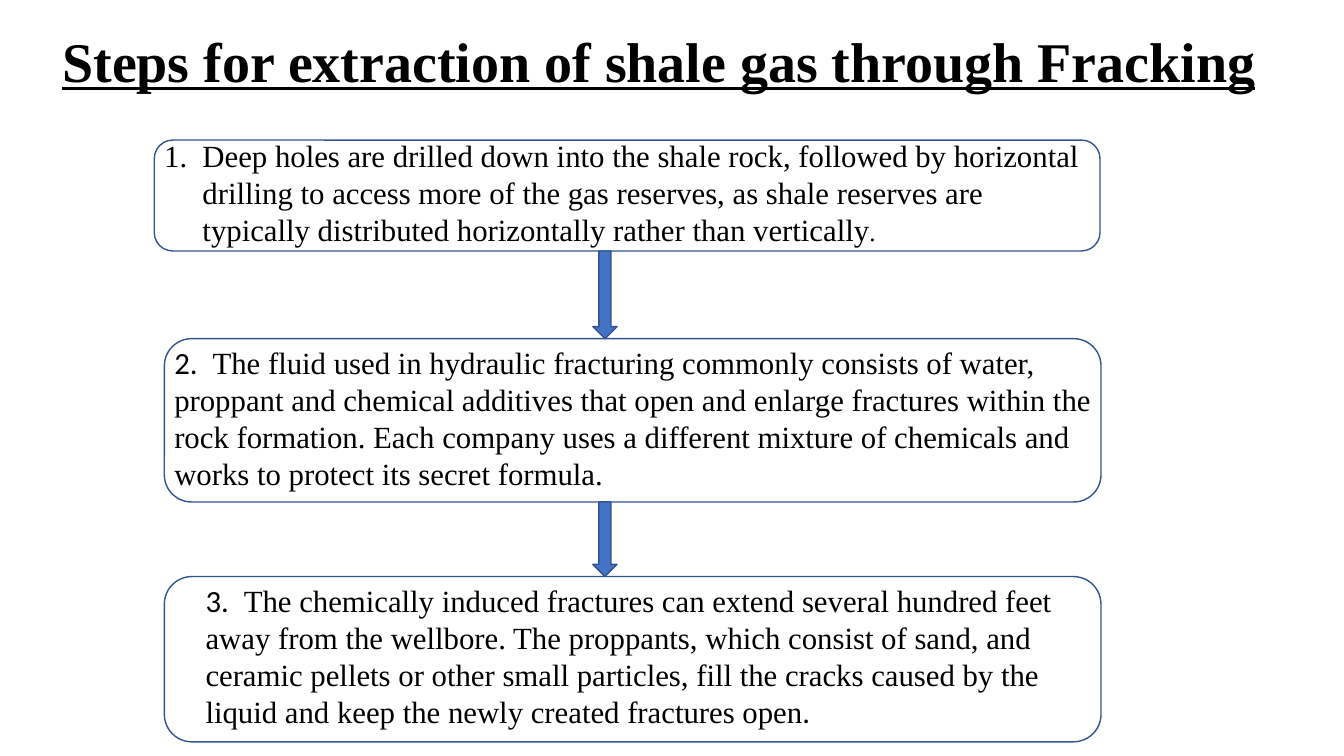
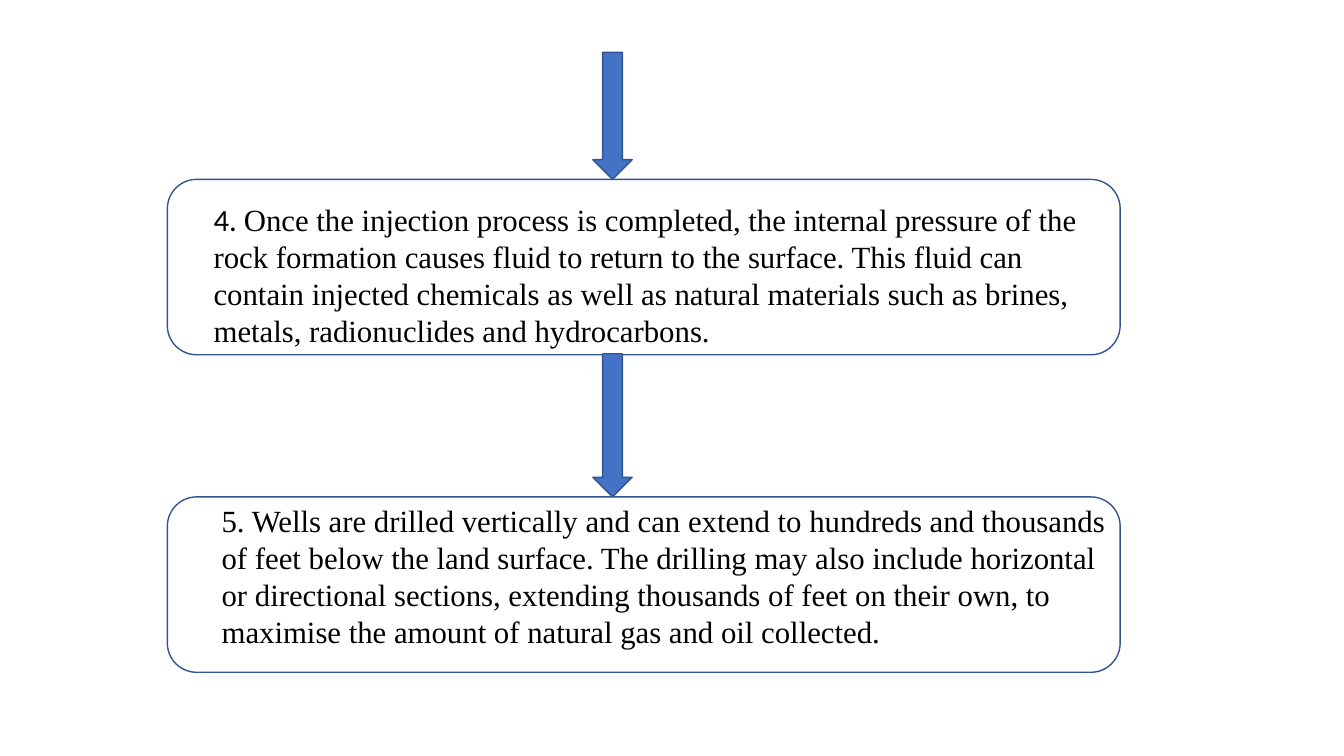
from dataclasses import dataclass

from lxml.etree import SubElement
from pptx import Presentation
from pptx.dml.color import RGBColor
from pptx.enum.shapes import MSO_SHAPE
from pptx.enum.text import MSO_ANCHOR, MSO_AUTO_SIZE, PP_ALIGN
from pptx.oxml.ns import qn
from pptx.util import Pt

PX = 9144  # 100 px to the inch


@dataclass(frozen=True)
class Theme:
    ink: RGBColor = RGBColor(0x00, 0x00, 0x00)
    arrow: RGBColor = RGBColor(0x44, 0x72, 0xC4)
    outline: RGBColor = RGBColor(0x32, 0x54, 0x91)
    serif: str = "Times New Roman"
    sans: str = "Calibri"
    title_size: int = 40
    body_size: int = 22
    small_size: int = 18
    number_indent: int = 38


theme = Theme()


def add_outlined(page, kind, bounds, fill=None):
    shape = page.shapes.add_shape(kind, *[value * PX for value in bounds])
    shape.shadow.inherit = False
    shape.line.color.rgb = theme.outline
    shape.line.width = Pt(1)
    if fill is None:
        shape.fill.background()
    else:
        shape.fill.solid()
        shape.fill.fore_color.rgb = fill


def add_step_text(page, bounds, spans, numbered):
    box = page.shapes.add_textbox(*[value * PX for value in bounds])
    frame = box.text_frame
    frame.word_wrap = True
    frame.auto_size = MSO_AUTO_SIZE.SHAPE_TO_FIT_TEXT
    para = frame.paragraphs[0]
    properties = para._p.get_or_add_pPr()
    indent = theme.number_indent * PX
    if numbered:
        properties.set("marL", str(indent))
        properties.set("indent", str(-indent))
        SubElement(properties, qn("a:buFont"), typeface="+mj-lt")
        SubElement(properties, qn("a:buAutoNum"), type="arabicPeriod")
    else:
        tabs = SubElement(properties, qn("a:tabLst"))
        SubElement(tabs, qn("a:tab"), pos=str(indent), algn="l")
    para.font.color.rgb = theme.ink
    for text, font_name, size in spans:
        span = para.add_run()
        span.text = text
        span.font.name = font_name
        span.font.size = Pt(size)


serif = (theme.serif, theme.body_size)
sans = (theme.sans, theme.body_size)

# Each page: title, boxes, arrows, and step texts (bounds, spans, numbered)
pages = [
    {
        "title": "Steps for extraction of shale gas through Fracking",
        "boxes": [(153, 139, 938, 110), (163, 336, 929, 162), (163, 572, 929, 164)],
        "arrows": [(588, 249, 24, 87), (588, 498, 24, 74)],
        "steps": [
            ((153, 131, 938, 121), [
                ("Deep holes are drilled down into the shale rock, followed by horizontal "
                 "drilling to access more of the gas reserves, as shale reserves are "
                 "typically distributed horizontally rather than vertically", *serif),
                (".", theme.serif, theme.small_size),
            ], True),
            ((163, 336, 942, 158), [
                ("2.\t", *sans),
                ("The fluid used in hydraulic fracturing commonly consists of water, "
                 "proppant and chemical additives that open and enlarge fractures within "
                 "the rock formation. Each company uses a different mixture of chemicals "
                 "and works to protect its secret formula.", *serif),
            ], False),
            ((194, 572, 864, 158), [
                ("3.\t", *sans),
                ("The chemically induced fractures can extend several hundred feet away "
                 "from the wellbore. The proppants, which consist of sand, and ceramic "
                 "pellets or other small particles, fill the cracks caused by the liquid "
                 "and keep the newly created fractures open", *serif),
                (".", *sans),
            ], False),
        ],
    },
    {
        "title": None,
        "boxes": [(166, 178, 945, 174), (166, 493, 945, 174)],
        "arrows": [(588, 52, 39, 126), (588, 351, 39, 142)],
        "steps": [
            ((202, 194, 882, 158), [
                ("4. ", *sans),
                ("Once the injection process is completed, the internal pressure of the "
                 "rock formation causes fluid to return to the surface. This fluid can "
                 "contain injected chemicals as well as natural materials such as brines, "
                 "metals, radionuclides and hydrocarbons.", *serif),
            ], False),
            ((210, 493, 900, 158), [
                ("5. Wells are drilled vertically and can extend to hundreds and thousands "
                 "of feet below the land surface. The drilling may also include horizontal "
                 "or directional sections, extending thousands of feet on their own, to "
                 "maximise the amount of natural gas and oil collected.", *serif),
            ], False),
        ],
    },
]

deck = Presentation()
deck.slide_width = 1333 * PX
deck.slide_height = 750 * PX
title_only, blank = deck.slide_layouts[5], deck.slide_layouts[6]

for content in pages:
    page = deck.slides.add_slide(title_only if content["title"] else blank)

    # Title
    if content["title"]:
        title = page.shapes.title
        title.left, title.top, title.width, title.height = 0, 21 * PX, 1307 * PX, 77 * PX
        title.text_frame.text = content["title"]
        title.text_frame.vertical_anchor = MSO_ANCHOR.TOP
        para = title.text_frame.paragraphs[0]
        para.alignment = PP_ALIGN.CENTER
        para.font.name = theme.serif
        para.font.size = Pt(theme.title_size)
        para.font.bold = True
        para.font.underline = True
        para.font.color.rgb = theme.ink

    # Flow chart
    for bounds in content["boxes"]:
        add_outlined(page, MSO_SHAPE.ROUNDED_RECTANGLE, bounds)
    for bounds in content["arrows"]:
        add_outlined(page, MSO_SHAPE.DOWN_ARROW, bounds, theme.arrow)
    for bounds, spans, numbered in content["steps"]:
        add_step_text(page, bounds, spans, numbered)

deck.save("out.pptx")
